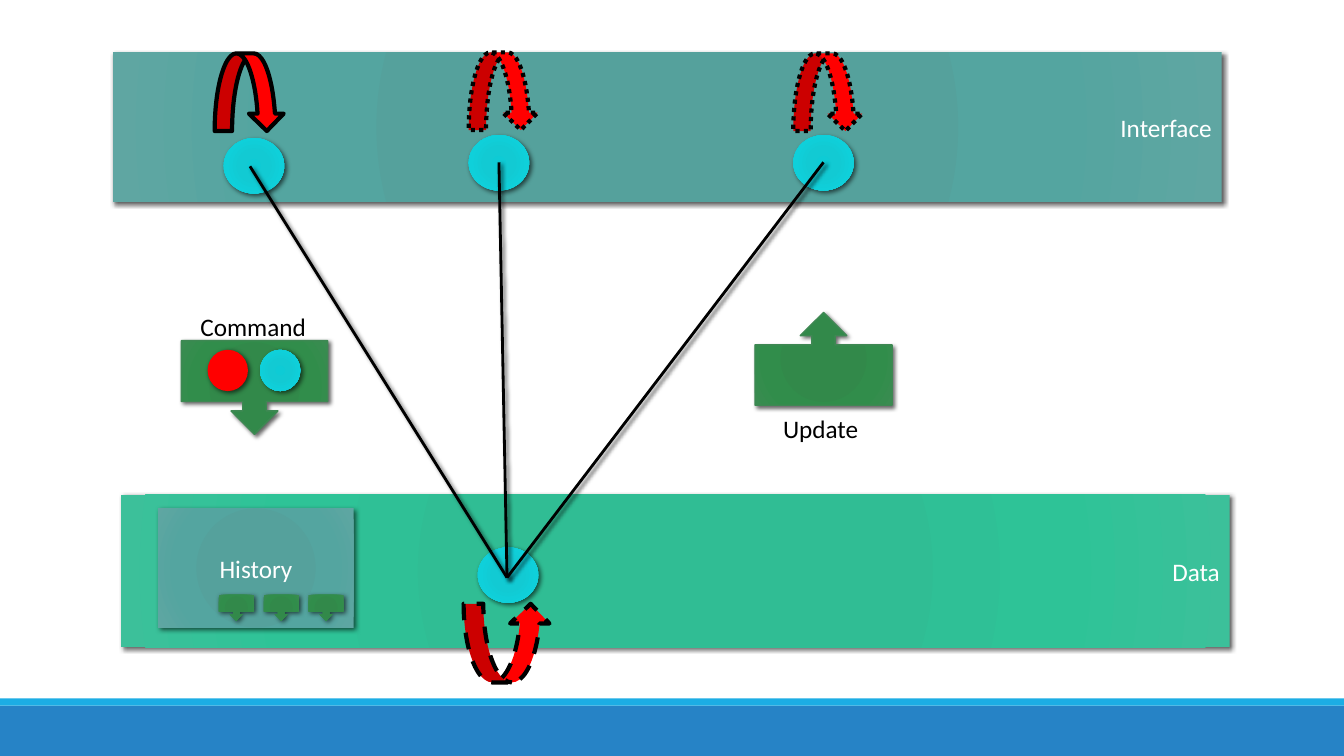
from dataclasses import dataclass
from typing import Any, Optional

from lxml import etree
from pptx import Presentation
from pptx import util as u
from pptx.dml.color import RGBColor
from pptx.enum import dml, shapes, text
from pptx.oxml import parse_xml
from pptx.oxml.ns import nsdecls, qn

COLS, ROWS = 160, 90
WIDE, HIGH = u.Inches(13.33), u.Inches(7.5)
Kind, Dash, Align = shapes.MSO_SHAPE, dml.MSO_LINE, text.PP_ALIGN
BLACK, WHITE, RED, EDGE = "000000", "FFFFFF", "FF0000", "3E8853"
# Stops of each radial fill, from centre to rim
GREEN = ("2DBE94", "30BD94", "2EC397", "3CC09A")
TEAL = ("52A19C", "55A19C", "54A5A0", "5FA6A2")
CYAN = ("0ECBD5", "12CAD3", "0FD0DA", "20CBD4")
LEAF = ("2F8949", "32894A", "318D4B", "3A8C51")
STOPS = (0, 34, 70, 100)


@dataclass
class Box:
    """A shape placed in grid columns and rows."""
    kind: Any
    x: float
    y: float
    w: float
    h: float
    fill: Any
    edge: Optional[str] = None
    pen: float = 1
    dash: Any = None
    blur: float = 3.5
    label: str = ""
    align: Any = Align.CENTER


@dataclass
class Note:
    label: str
    x: float
    y: float
    w: float
    h: float = 4.8


def col(n: float) -> int:
    return round(WIDE * n / COLS)


def row(n: float) -> int:
    return round(HIGH * n / ROWS)


def tint(code: str) -> RGBColor:
    return RGBColor.from_string(code)


def shade(part: Any, blur: float) -> None:
    """Put an outer shadow in the effect list of a shape or line."""
    props = part._element.spPr
    fx = props.find(qn("a:effectLst"))
    if fx is None:
        fx = etree.SubElement(props, qn("a:effectLst"))
    if blur:
        fx.append(parse_xml(
            f'<a:outerShdw {nsdecls("a")} blurRad="{u.Pt(blur)}" dist="{u.Pt(2)}" '
            f'dir="2700000" rotWithShape="0"><a:srgbClr val="{BLACK}">'
            '<a:alpha val="60000"/></a:srgbClr></a:outerShdw>'))


def glow(part: Any, tones: tuple) -> None:
    """Fill a shape with a round gradient."""
    part.fill.background()
    stops = "".join(f'<a:gs pos="{p * 1000}"><a:srgbClr val="{c}"/></a:gs>'
                    for p, c in zip(STOPS, tones))
    props = part._element.spPr
    props.replace(props.find(qn("a:noFill")), parse_xml(
        f'<a:gradFill {nsdecls("a")} rotWithShape="1"><a:gsLst>{stops}</a:gsLst>'
        '<a:path path="circle"><a:fillToRect l="100000" t="100000" r="100000" '
        'b="100000"/></a:path></a:gradFill>'))


def write(frame: Any, label: str, code: str, align: Any) -> None:
    para = frame.paragraphs[0]
    para.text = label
    para.alignment = align
    font = para.runs[0].font
    font.name, font.size = "Calibri", u.Pt(18)
    font.color.rgb = tint(code)


def draw(tree: Any, box: Box) -> None:
    part = tree.add_shape(box.kind, col(box.x), row(box.y), col(box.w), row(box.h))
    part.shadow.inherit = False
    if isinstance(box.fill, str):
        part.fill.solid()
        part.fill.fore_color.rgb = tint(box.fill)
    else:
        glow(part, box.fill)
    if box.edge:
        part.line.color.rgb = tint(box.edge)
        part.line.width = u.Pt(box.pen)
        if box.dash:
            part.line.dash_style = box.dash
    else:
        part.line.fill.background()
    shade(part, box.blur)
    if box.label:
        part.text_frame.vertical_anchor = text.MSO_ANCHOR.MIDDLE
        write(part.text_frame, box.label, WHITE, box.align)


def link(tree: Any, start: tuple, end: tuple) -> None:
    line = tree.add_connector(shapes.MSO_CONNECTOR.STRAIGHT, col(start[0]),
                              row(start[1]), col(end[0]), row(end[1]))
    line.line.color.rgb = tint(BLACK)
    line.line.width = u.Pt(2)
    shade(line, 3)


def name(tree: Any, note: Note) -> None:
    area = tree.add_textbox(col(note.x), row(note.y), col(note.w), row(note.h))
    area.text_frame.word_wrap = False
    area.text_frame.auto_size = text.MSO_AUTO_SIZE.SHAPE_TO_FIT_TEXT
    write(area.text_frame, note.label, BLACK, Align.LEFT)


def node(x: float, y: float) -> Box:
    return Box(Kind.OVAL, x, y, 7.2, 6.6, CYAN)


def loop(x: float, y: float, dash: Any = None) -> Box:
    return Box(Kind.CURVED_DOWN_ARROW, x, y, 8.28, 9.24, RED, BLACK, 3, dash, 0)


BANDS = [
    Box(Kind.RECTANGLE, 0, 84, COLS, 6, "2683C6", blur=0),
    Box(Kind.RECTANGLE, 0, 83.16, COLS, 0.84, "1CADE4", blur=0),
    Box(Kind.RECTANGLE, 14.4, 58.92, 132, 18.12, GREEN, label="Data", align=Align.RIGHT),
    Box(Kind.RECTANGLE, 13.44, 6.24, 132, 17.76, TEAL, label="Interface",
        align=Align.RIGHT),
]
NODES = [node(56.88, 65.16), node(26.64, 16.44), node(55.8, 16.08), node(94.44, 16.08)]
HUB = (60.36, 68.76)
ENDS = [(29.76, 19.8), (59.4, 19.32), (98.04, 19.32)]
COMMAND = [
    Box(Kind.DOWN_ARROW_CALLOUT, 21.6, 40.56, 17.4, 11.16, LEAF, EDGE, blur=3),
    Box(Kind.OVAL, 30.96, 41.64, 4.8, 4.92, CYAN),
    Box(Kind.OVAL, 24.72, 41.64, 4.8, 4.92, RED),
]
LOOPS = [
    loop(25.56, 6.36),
    loop(55.8, 6.24, Dash.ROUND_DOT),
    loop(94.44, 6.36, Dash.ROUND_DOT),
    Box(Kind.CURVED_UP_ARROW, 55.2, 71.88, 10.32, 9.36, RED, BLACK, 3, Dash.DASH, 0),
]
UPDATE = Box(Kind.UP_ARROW_CALLOUT, 89.88, 37.2, 16.32, 11.04, LEAF, EDGE, blur=3)
HISTORY = [Box(Kind.RECTANGLE, 18.84, 60.48, 23.28, 14.28, TEAL, label="History")] + [
    Box(Kind.DOWN_ARROW_CALLOUT, 26.04 + 5.34 * i, 70.8, 4.2, 3.12, LEAF)
    for i in range(3)]
NOTES = [Note("Command", 22.68, 36.48, 15.12), Note("Update", 92.04, 48.6, 11.52)]


def main() -> None:
    deck = Presentation()
    deck.slide_width, deck.slide_height = WIDE, HIGH
    tree = deck.slides.add_slide(deck.slide_layouts[6]).shapes
    for box in BANDS + NODES:
        draw(tree, box)
    for end in ENDS:
        link(tree, HUB, end)
    group = tree.add_group_shape().shapes
    for box in COMMAND:
        draw(group, box)
    for box in LOOPS + [UPDATE] + HISTORY:
        draw(tree, box)
    for note in NOTES:
        name(tree, note)
    deck.save("out.pptx")


if __name__ == "__main__":
    main()
